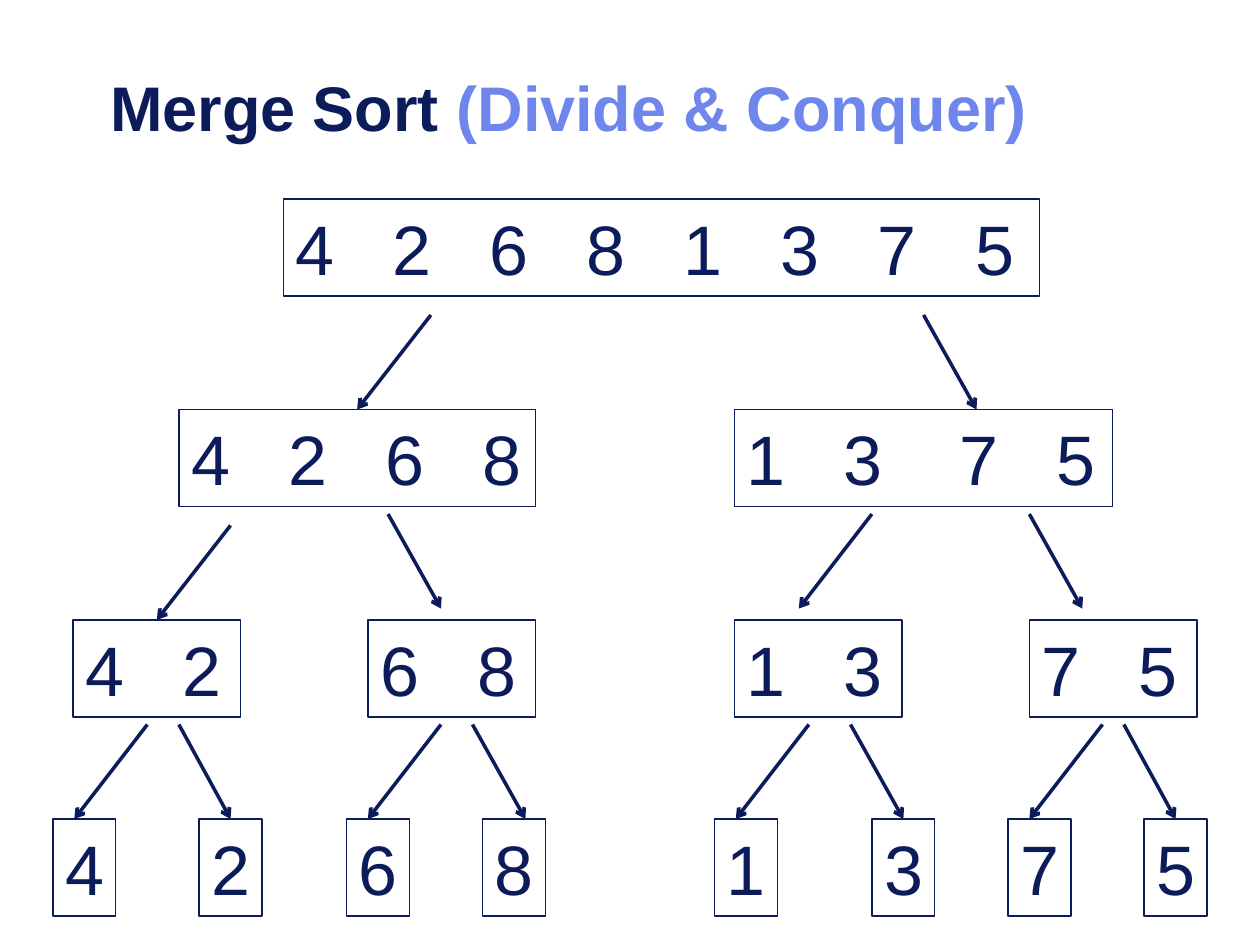
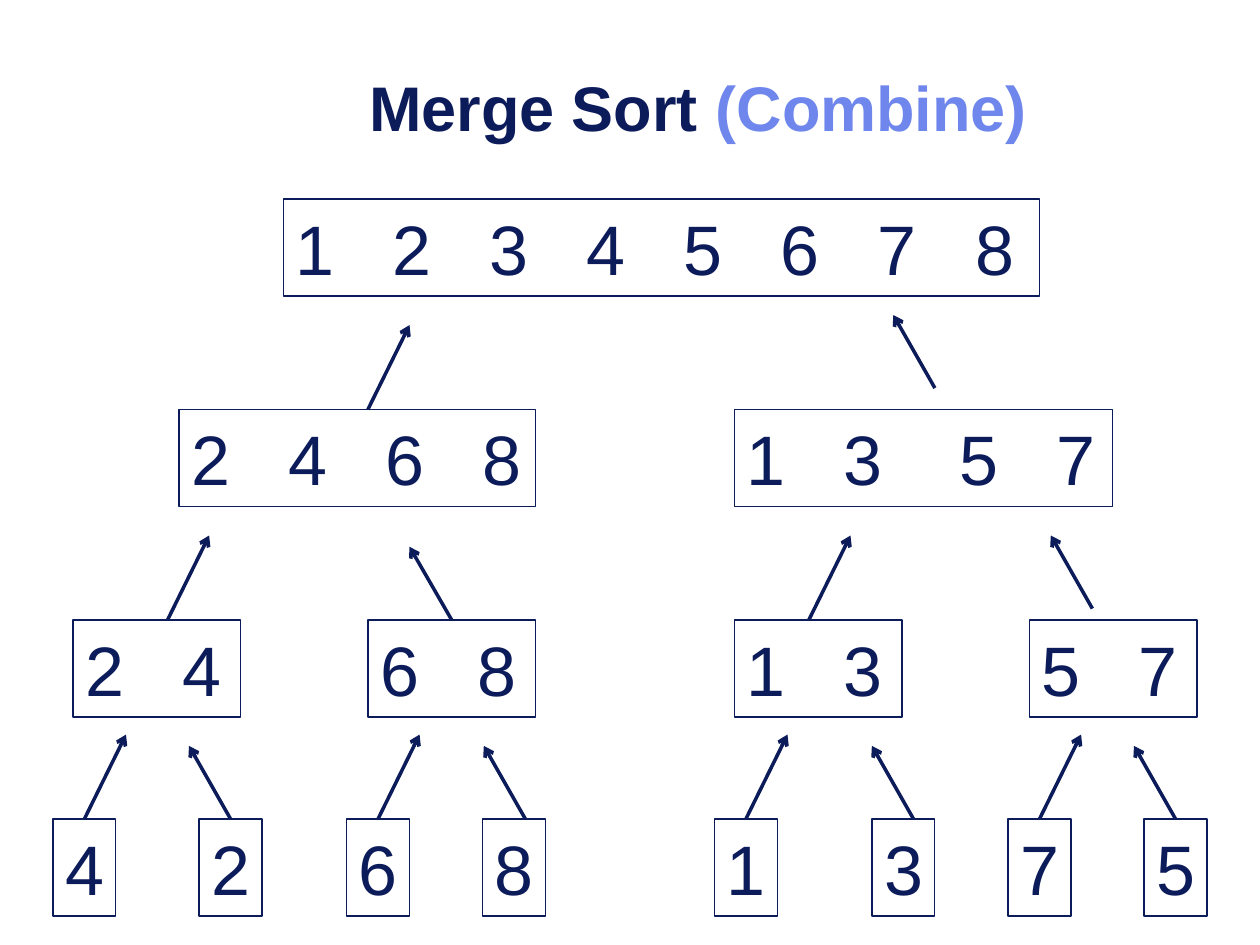
from lxml import etree
from pptx import Presentation
from pptx.dml.color import RGBColor
from pptx.enum.shapes import MSO_CONNECTOR, MSO_SHAPE
from pptx.enum.text import MSO_ANCHOR, PP_ALIGN
from pptx.oxml.ns import qn
from pptx.util import Inches, Pt

STRAIGHT = MSO_CONNECTOR.STRAIGHT
RECTANGLE = MSO_SHAPE.RECTANGLE
MIDDLE, TOP = MSO_ANCHOR.MIDDLE, MSO_ANCHOR.TOP
LEFT, RIGHT = PP_ALIGN.LEFT, PP_ALIGN.RIGHT

COLORS = {"navy": "0C1B5A", "accent": "6F87EC", "paper": "FFFFFF"}
FONT = "Arial"

# Each level of the tree: top, then (left, width) of its boxes
LEVELS = [
    (1.58, [(2.25, 6)]),
    (3.25, [(1.42, 2.83), (5.83, 3)]),
    (4.92, [(left, 1.33) for left in (0.58, 2.92, 5.83, 8.17)]),
    (6.5, [(left, 0.5) for left in (0.42, 1.58, 2.75, 3.83, 5.67, 6.92, 8, 9.08)]),
]
BOX_HEIGHT = 0.77
DIGIT_STEP = 0.77
HALVES_GAP = {(5.83, 3.25): 0.15}  # extra space between the halves of this box

# Arrows: (dx, dy) followed by the points where they start
STEPS = [
    {
        "subtitle": "(Divide & Conquer)",
        "numbers": [["42681375"], ["4268", "1375"], ["42", "68", "13", "75"],
                    list("42681375")],
        "arrows": [
            ((-0.58, 0.75), [(3.42, 2.5), (1.83, 4.17), (6.92, 4.08), (1.17, 5.75),
                             (3.5, 5.75), (6.42, 5.75), (8.75, 5.75)]),
            ((0.42, 0.75), [(7.33, 2.5), (3.08, 4.08), (8.17, 4.08), (1.42, 5.75),
                            (3.75, 5.75), (6.75, 5.75), (8.92, 5.75)]),
        ],
    },
    {
        "subtitle": "(Combine)",
        "numbers": [["12345678"], ["2468", "1357"], ["24", "68", "13", "57"],
                    list("42681375")],
        "arrows": [
            ((0.33, -0.67), [(2.92, 3.25), (1.33, 4.92), (6.42, 4.92), (0.67, 6.5),
                             (3, 6.5), (5.92, 6.5), (8.25, 6.5)]),
            ((-0.33, -0.58), [(7.42, 3.08), (3.58, 4.92), (8.67, 4.83), (1.83, 6.5),
                              (4.17, 6.5), (7.25, 6.5), (9.33, 6.5)]),
        ],
    },
]


def color(name):
    return RGBColor.from_string(COLORS[name])


def add_title(slide, subtitle):
    frame = slide.shapes.add_textbox(
        Inches(0), Inches(0.58), Inches(8.25), Inches(0.53)).text_frame
    frame.word_wrap = True
    frame.vertical_anchor = MIDDLE
    title = frame.paragraphs[0]
    title.alignment = RIGHT
    title.font.name, title.font.size, title.font.bold = FONT, Pt(36), True
    for text, tone in (("Merge Sort ", "navy"), (subtitle, "accent")):
        run = title.add_run()
        run.text = text
        run.font.color.rgb = color(tone)


def add_tab_stops(paragraph, count, halves_gap):
    stops = etree.SubElement(paragraph._p.get_or_add_pPr(), qn("a:tabLst"))
    for i in range(1, count):
        position = i * DIGIT_STEP + (halves_gap if i >= count / 2 else 0)
        etree.SubElement(stops, qn("a:tab"), pos=str(Inches(position)), algn="l")


def add_number_box(slide, left, top, width, digits):
    box = slide.shapes.add_shape(
        RECTANGLE, Inches(left), Inches(top), Inches(width), Inches(BOX_HEIGHT))
    box.shadow.inherit = False
    box.fill.solid()
    box.fill.fore_color.rgb = color("paper")
    box.line.color.rgb = color("navy")
    box.line.width = Pt(0.75)
    box.text_frame.vertical_anchor = TOP
    numbers = box.text_frame.paragraphs[0]
    numbers.text = "\t".join(digits)
    numbers.alignment = LEFT
    numbers.font.name, numbers.font.size = FONT, Pt(40)
    numbers.font.color.rgb = color("navy")
    if len(digits) > 1:
        add_tab_stops(numbers, len(digits), HALVES_GAP.get((left, top), 0))
    return box


def box_topped_at(boxes, x, y):
    """Return the box whose top side has its middle at the point, if any."""
    for box in boxes:
        off_x = abs(box.left + box.width / 2 - Inches(x))
        if max(off_x, abs(box.top - Inches(y))) < Inches(0.02):
            return box
    return None


def add_arrow(slide, boxes, start, shift):
    end = (start[0] + shift[0], start[1] + shift[1])
    arrow = slide.shapes.add_connector(STRAIGHT, *map(Inches, start + end))
    arrow.line.color.rgb = color("navy")
    arrow.line.width = Pt(2)
    etree.SubElement(arrow.line._get_or_add_ln(), qn("a:tailEnd"), type="arrow")
    etree.SubElement(arrow._element.spPr, qn("a:effectLst"))
    for point, connect in ((start, arrow.begin_connect), (end, arrow.end_connect)):
        box = box_topped_at(boxes, *point)
        if box is not None:
            connect(box, 0)


def add_step(deck, step):
    slide = deck.slides.add_slide(deck.slide_layouts[6])
    add_title(slide, step["subtitle"])
    boxes = [
        add_number_box(slide, left, top, width, digits)
        for (top, spans), groups in zip(LEVELS, step["numbers"])
        for (left, width), digits in zip(spans, groups)
    ]
    for shift, starts in step["arrows"]:
        for start in starts:
            add_arrow(slide, boxes, start, shift)


def main():
    deck = Presentation()
    deck.slide_width, deck.slide_height = Inches(10), Inches(7.5)
    for step in STEPS:
        add_step(deck, step)
    deck.save("out.pptx")


if __name__ == "__main__":
    main()
